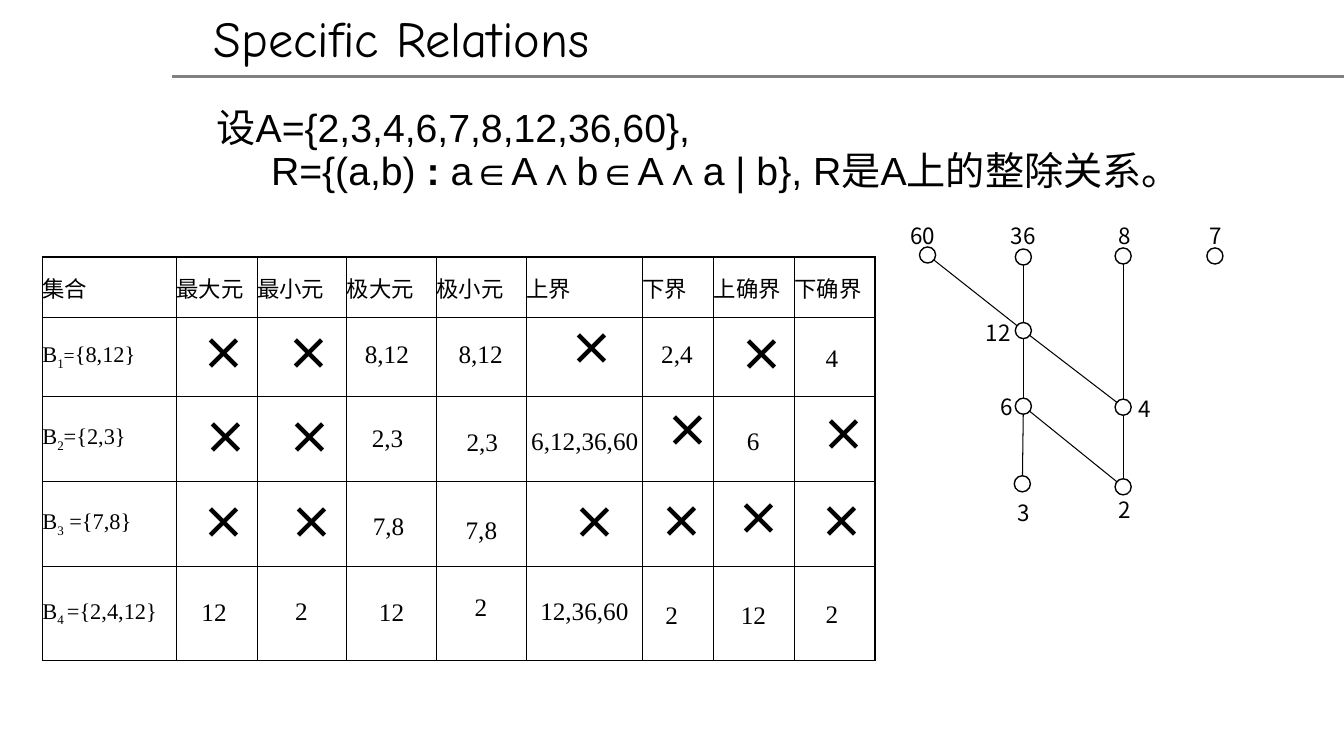
from dataclasses import dataclass
from math import hypot

from lxml import etree
from pptx import Presentation
from pptx.dml.color import RGBColor
from pptx.enum.shapes import MSO_CONNECTOR, MSO_SHAPE
from pptx.enum.text import MSO_ANCHOR, PP_ALIGN
from pptx.oxml.ns import qn
from pptx.util import Inches, Pt

LEFT, MID = PP_ALIGN.LEFT, PP_ALIGN.CENTER
TOP, CENTRE = MSO_ANCHOR.TOP, MSO_ANCHOR.MIDDLE
LINE, OVAL = MSO_CONNECTOR.STRAIGHT, MSO_SHAPE.OVAL
HAN, ROMAN, SANS = "Noto Sans CJK SC", "Times New Roman", "Arial"
BLACK, GREY = "000000", "808080"
CROSS = "×"
RADIUS = 0.08
LABEL_W, LABEL_H = 0.58, 0.37


@dataclass
class Node:
    name: str
    x: float
    y: float
    label_x: float
    label_y: float


@dataclass
class Entry:
    text: str
    x: float
    y: float


NODES = [
    Node("60", 9.2, 2.53, 8.86, 2.15),
    Node("36", 10.15, 2.55, 9.86, 2.15),
    Node("8", 11.14, 2.54, 10.86, 2.15),
    Node("7", 12.05, 2.54, 11.77, 2.15),
    Node("12", 10.15, 3.28, 9.61, 3.12),
    Node("6", 10.15, 4.03, 9.69, 3.85),
    Node("4", 11.14, 4.04, 11.06, 3.87),
    Node("3", 10.14, 4.8, 9.86, 4.9),
    Node("2", 11.14, 4.83, 10.86, 4.87),
]
EDGES = [("60", "12"), ("36", "12"), ("12", "6"), ("6", "3"), ("8", "4"),
         ("4", "2"), ("6", "2"), ("12", "4")]

COLS = [1.33, 0.8, 0.89, 0.89, 0.89, 1.15, 0.71, 0.8, 0.8]
ROWS = [0.6, 0.78, 0.85, 0.84, 0.93]
HEADS = ["集合", "最大元", "最小元", "极大元", "极小元", "上界", "下界", "上确界", "下确界"]
SETS = [("1", "=", "{8,12}"), ("2", "", "={2,3}"),
        ("3", "", " ={7,8}"), ("4 ", "", "={2,4,12}")]
ENTRIES = [
    Entry(CROSS, 1.9, 3.18), Entry(CROSS, 2.74, 3.18), Entry("8,12", 3.52, 3.31),
    Entry("8,12", 4.45, 3.31), Entry(CROSS, 5.55, 3.13), Entry("2,4", 6.46, 3.31),
    Entry(CROSS, 7.24, 3.19), Entry("4", 8.09, 3.35),
    Entry(CROSS, 1.92, 4.02), Entry(CROSS, 2.75, 4.02), Entry("2,3", 3.59, 4.14),
    Entry("2,3", 4.53, 4.18), Entry("6,12,36,60", 5.17, 4.17), Entry(CROSS, 6.5, 3.95),
    Entry("6", 7.31, 4.17), Entry(CROSS, 8.05, 3.99),
    Entry(CROSS, 1.9, 4.86), Entry(CROSS, 2.77, 4.86), Entry("7,8", 3.6, 5.01),
    Entry("7,8", 4.52, 5.05), Entry(CROSS, 5.58, 4.86), Entry(CROSS, 6.44, 4.85),
    Entry(CROSS, 7.21, 4.82), Entry(CROSS, 8.03, 4.85),
    Entry("12", 1.9, 5.87), Entry("2", 2.83, 5.86), Entry("12", 3.66, 5.87),
    Entry("2", 4.61, 5.82), Entry("12,36,60", 5.26, 5.86), Entry("2", 6.5, 5.9),
    Entry("12", 7.25, 5.9), Entry("2", 8.09, 5.89),
]


def tint(code: str) -> RGBColor:
    return RGBColor.from_string(code)


def write(par, text: str, *, font: str = HAN, size: float = 16, color: str = BLACK,
          bold: bool = False, align=LEFT, base: int = 0) -> None:
    """Add one run; base is the baseline shift."""
    par.alignment = align
    run = par.add_run()
    run.text = text
    run.font.name, run.font.size, run.font.bold = font, Pt(size), bold
    run.font.color.rgb = tint(color)
    props = run.font._element
    if base:
        props.set("baseline", str(base))
    etree.SubElement(props, qn("a:ea"), typeface=HAN)


def box(slide, x: float, y: float, w: float, h: float, wrap: bool = True):
    frame = slide.shapes.add_textbox(Inches(x), Inches(y), Inches(w), Inches(h)).text_frame
    frame.word_wrap = wrap
    return frame


def rule(slide, x1: float, y1: float, x2: float, y2: float, color: str, width: float) -> None:
    line = slide.shapes.add_connector(LINE, Inches(x1), Inches(y1), Inches(x2), Inches(y2))
    line.line.color.rgb = tint(color)
    line.line.width = Pt(width)
    etree.SubElement(line._element.spPr, qn("a:effectLst"))


def frame_cell(cell) -> None:
    """Clear the fill and margins of a cell and give it black borders."""
    cell.margin_left = cell.margin_right = cell.margin_top = cell.margin_bottom = 0
    cell.vertical_anchor = CENTRE
    props = cell._tc.get_or_add_tcPr()
    for side in ("lnL", "lnR", "lnT", "lnB"):
        edge = etree.SubElement(props, qn(f"a:{side}"), w=str(Pt(1)))
        fill = etree.SubElement(edge, qn("a:solidFill"))
        etree.SubElement(fill, qn("a:srgbClr"), val=BLACK)
    cell.fill.background()


def draw_head(slide) -> None:
    rule(slide, 1.71, 0.76, 13.33, 0.76, GREY, 2)
    title = slide.shapes.title
    title.left, title.top = Inches(2.02), Inches(0.02)
    title.width, title.height = Inches(6.14), Inches(0.71)
    title.text_frame.vertical_anchor = TOP
    write(title.text_frame.paragraphs[0], "Specific Relations", font="Comic Neue", size=36)


def draw_task(slide) -> None:
    task = box(slide, 2.05, 1.03, 9.94, 0.95)
    first, second = task.paragraphs[0], task.add_paragraph()
    first.line_spacing = second.line_spacing = 0.9
    second._p.get_or_add_pPr().set("marL", str(Inches(0.54)))
    write(first, "设A={2,3,4,6,7,8,12,36,60},", font=SANS, size=28)
    write(second, "R={(a,b) ", font=SANS, size=28)
    write(second, ": ", font=SANS, size=28, bold=True)
    write(second, "a∈A∧b∈A∧a | b}, R是A上的整除关系。", font=SANS, size=28)


def draw_table(slide) -> None:
    table = slide.shapes.add_table(len(ROWS), len(COLS), Inches(0.42), Inches(2.55),
                                   Inches(sum(COLS)), Inches(sum(ROWS))).table
    table.first_row = table.horz_banding = False
    for col, width in zip(table.columns, COLS):
        col.width = Inches(width)
    for row, height in zip(table.rows, ROWS):
        row.height = Inches(height)
    for cell in table.iter_cells():
        frame_cell(cell)
    for i, head in enumerate(HEADS):
        write(table.cell(0, i).text_frame.paragraphs[0], head)
    for i, (index, sign, items) in enumerate(SETS, 1):
        par = table.cell(i, 0).text_frame.paragraphs[0]
        write(par, "B", font=ROMAN)
        write(par, index, font=ROMAN, base=-25000)
        if sign:
            write(par, sign, font=ROMAN, size=14)
        write(par, items, font=ROMAN)
    for item in ENTRIES:
        draw_entry(slide, item)


def draw_entry(slide, item: Entry) -> None:
    if item.text == CROSS:
        frame = box(slide, item.x, item.y, 0.45, 0.64, wrap=False)
        write(frame.paragraphs[0], CROSS, size=32, bold=True, align=MID)
        return
    commas = item.text.count(",")
    width = 0.2 + 0.125 * (len(item.text) - commas / 2)
    frame = box(slide, item.x, item.y, width, 0.4, wrap=False)
    write(frame.paragraphs[0], item.text, font=ROMAN, size=18)


def draw_graph(slide) -> None:
    """Draw the Hasse diagram, with each edge cut at the rims of its nodes."""
    nodes = {node.name: node for node in NODES}
    for start, end in EDGES:
        a, b = nodes[start], nodes[end]
        dist = hypot(b.x - a.x, b.y - a.y)
        dx, dy = RADIUS * (b.x - a.x) / dist, RADIUS * (b.y - a.y) / dist
        rule(slide, a.x + dx, a.y + dy, b.x - dx, b.y - dy, BLACK, 0.75)
    for node in NODES:
        frame = box(slide, node.label_x, node.label_y, LABEL_W, LABEL_H)
        write(frame.paragraphs[0], node.name, align=MID)
        ring = slide.shapes.add_shape(OVAL, Inches(node.x - RADIUS), Inches(node.y - RADIUS),
                                      Inches(2 * RADIUS), Inches(2 * RADIUS))
        ring.shadow.inherit = False
        ring.fill.background()
        ring.line.color.rgb = tint(BLACK)
        ring.line.width = Pt(1)


def main() -> None:
    deck = Presentation()
    deck.slide_width, deck.slide_height = Inches(13.33), Inches(7.5)
    slide = deck.slides.add_slide(deck.slide_layouts[5])
    draw_head(slide)
    draw_task(slide)
    draw_table(slide)
    draw_graph(slide)
    deck.save("out.pptx")


if __name__ == "__main__":
    main()
